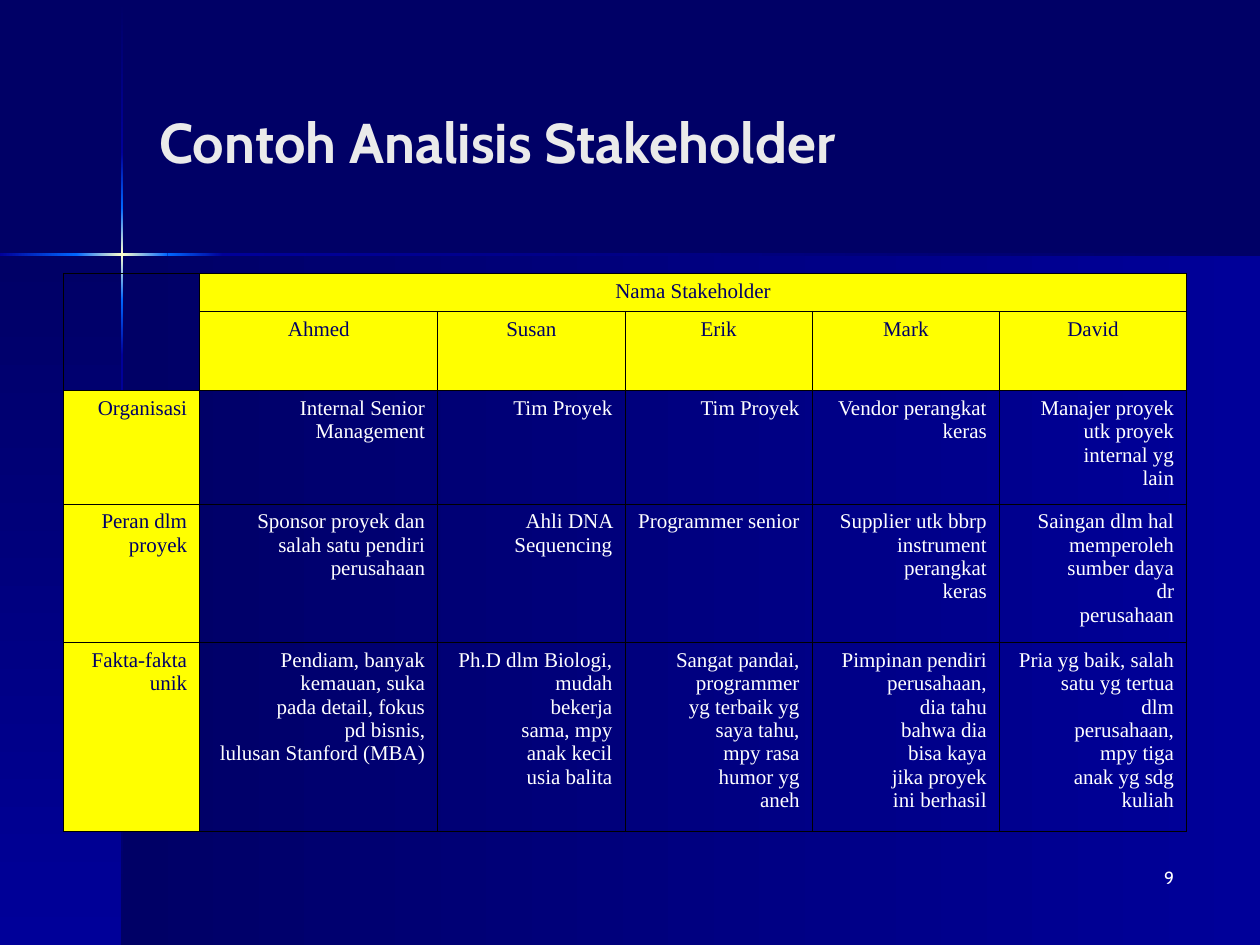
from itertools import pairwise

from lxml.etree import SubElement
from pptx import Presentation
from pptx.dml.color import RGBColor as Color
from pptx.enum.shapes import MSO_SHAPE as Shape
from pptx.enum.text import MSO_ANCHOR as Anchor, PP_ALIGN as Align
from pptx.oxml.ns import qn
from pptx.util import Pt

THEME = {
    "night": "000066", "royal": "000099", "azure": "0066FF", "spark": "FFFFCC",
    "yellow": "FFFF00", "white": "FFFFFF", "title": "EAEAEA", "border": "000000",
    "title_font": "Cabin", "table_font": "Times New Roman",
    "title_size": 32, "table_size": 12, "number_size": 10,
}

TITLE = "Contoh Analisis Stakeholder"
PAGE_NUMBER = "9"
GROUP_HEADING = "Nama Stakeholder"
NAMES = ["Ahmed", "Susan", "Erik", "Mark", "David"]
ROWS = [
    ["Organisasi", "Internal Senior Management", "Tim Proyek", "Tim Proyek",
     "Vendor perangkat keras", "Manajer proyek utk proyek internal yg lain"],
    ["Peran dlm proyek", "Sponsor proyek dan salah satu pendiri perusahaan",
     "Ahli DNA Sequencing", "Programmer senior",
     "Supplier utk bbrp instrument perangkat keras",
     "Saingan dlm hal memperoleh sumber daya dr perusahaan"],
    ["Fakta-fakta unik",
     "Pendiam, banyak kemauan, suka pada detail, fokus pd bisnis,\nlulusan Stanford (MBA)",
     "Ph.D dlm Biologi, mudah bekerja sama, mpy anak kecil usia balita",
     "Sangat pandai, programmer yg terbaik yg saya tahu, mpy rasa humor yg aneh",
     "Pimpinan pendiri perusahaan, dia tahu bahwa dia bisa kaya jika proyek ini berhasil",
     "Pria yg baik, salah satu yg tertua dlm perusahaan, mpy tiga anak yg sdg kuliah"],
]
COLUMN_WIDTHS = [78, 136] + [107] * 4
ROW_HEIGHTS = [20.6, 45.3, 60.8, 73.9, 100.6]
TABLE_LEFT, TABLE_TOP = 36.2, 156.2

WIDTH, HEIGHT = 720, 540
PANEL_LEFT, PANEL_TOP = 69.8, 145.4
BEAM = 1.4
BEAM_COLORS = [
    ("night", "royal"), ("royal", "azure"), ("azure", "spark", "azure"),
    ("azure", "royal"), ("royal", "night"),
]
VERTICAL_STOPS = [0.7, 87.1, 118.8, 171.4, 203, HEIGHT]
HORIZONTAL_STOPS = [0, 43.5, 95.8, 127.4, WIDTH]


def add_gradient(page, left, top, width, height, colors, downward):
    shape = page.shapes.add_shape(Shape.RECTANGLE, Pt(left), Pt(top), Pt(width), Pt(height))
    shape.shadow.inherit = False
    shape.line.fill.background()
    shape.fill.gradient()
    shape.fill.gradient_angle = 270 if downward else 0
    stops = shape._element.spPr.find(qn("a:gradFill")).find(qn("a:gsLst"))
    stops.clear()
    for index, name in enumerate(colors):
        position = round(100000 * index / (len(colors) - 1))
        stop = SubElement(stops, qn("a:gs"), pos=str(position))
        SubElement(stop, qn("a:srgbClr"), val=THEME[name])


def write(frame, text, *, font, size, color, align=Align.LEFT, bold=False, hanging=0):
    frame.word_wrap = True
    for index, line in enumerate(text.split("\n")):
        para = frame.add_paragraph() if index else frame.paragraphs[0]
        para.alignment = align
        if hanging:
            properties = para._p.get_or_add_pPr()
            properties.set("marL", str(Pt(hanging)))
            properties.set("indent", str(-Pt(hanging)))
        span = para.add_run()
        span.text = line
        span.font.name = font
        span.font.size = Pt(size)
        span.font.bold = bold
        span.font.color.rgb = Color.from_string(color)


def add_text(page, text, left, top, width, height, anchor, **style):
    box = page.shapes.add_textbox(Pt(left), Pt(top), Pt(width), Pt(height))
    box.text_frame.vertical_anchor = anchor
    write(box.text_frame, text, **style)


def add_borders(cell):
    properties = cell._tc.get_or_add_tcPr()
    for index, side in enumerate(("lnL", "lnR", "lnT", "lnB")):
        line = SubElement(properties, qn("a:" + side), w=str(Pt(0.45)))
        fill = SubElement(line, qn("a:solidFill"))
        SubElement(fill, qn("a:srgbClr"), val=THEME["border"])
        properties.insert(index, line)


def add_backdrop(page):
    page.background.fill.solid()
    page.background.fill.fore_color.rgb = Color.from_string(THEME["night"])
    panel = ("night", "royal")
    panel_height = HEIGHT - PANEL_TOP
    add_gradient(page, PANEL_LEFT, PANEL_TOP, WIDTH - PANEL_LEFT, panel_height, panel, False)
    add_gradient(page, 0, PANEL_TOP, PANEL_LEFT, panel_height, panel, True)
    for (start, end), colors in zip(pairwise(VERTICAL_STOPS), BEAM_COLORS):
        add_gradient(page, PANEL_LEFT - BEAM / 2, start, BEAM, end - start, colors, True)
    for (start, end), colors in zip(pairwise(HORIZONTAL_STOPS), BEAM_COLORS[1:]):
        add_gradient(page, start, PANEL_TOP - BEAM / 2, end - start, BEAM, colors, False)


def add_stakeholders(page):
    content = [["", GROUP_HEADING, "", "", "", ""], ["", *NAMES], *ROWS]
    table = page.shapes.add_table(
        len(content), len(COLUMN_WIDTHS), Pt(TABLE_LEFT), Pt(TABLE_TOP),
        Pt(sum(COLUMN_WIDTHS)), Pt(sum(ROW_HEIGHTS))).table
    table.first_row = table.horz_banding = False
    for column, width in zip(table.columns, COLUMN_WIDTHS):
        column.width = Pt(width)
    for row, height in zip(table.rows, ROW_HEIGHTS):
        row.height = Pt(height)
    for r, texts in enumerate(content):
        for c, text in enumerate(texts):
            cell = table.cell(r, c)
            heading = r < 2 or c == 0
            if heading and (r, c) not in ((0, 0), (1, 0)):
                cell.fill.solid()
                cell.fill.fore_color.rgb = Color.from_string(THEME["yellow"])
            else:
                cell.fill.background()
            add_borders(cell)
            if text:
                write(cell.text_frame, text, font=THEME["table_font"],
                      size=THEME["table_size"], hanging=27,
                      color=THEME["night" if heading else "white"],
                      align=Align.CENTER if r < 2 else Align.RIGHT)
            else:
                ending = cell.text_frame.paragraphs[0]._p.get_or_add_endParaRPr()
                ending.set("sz", str(THEME["table_size"] * 100))
    table.cell(0, 0).merge(table.cell(1, 0))
    table.cell(0, 1).merge(table.cell(0, len(NAMES)))


def main():
    deck = Presentation()
    deck.slide_width, deck.slide_height = Pt(WIDTH), Pt(HEIGHT)
    page = deck.slides.add_slide(deck.slide_layouts[6])
    add_backdrop(page)
    add_text(page, TITLE, 84, 24, 594, 113, Anchor.MIDDLE, font=THEME["title_font"],
             size=THEME["title_size"], color=THEME["title"], bold=True)
    add_stakeholders(page)
    add_text(page, PAGE_NUMBER, 528, 492, 150, 36, Anchor.TOP, font=THEME["title_font"],
             size=THEME["number_size"], color=THEME["white"], align=Align.RIGHT)
    deck.save("out.pptx")


if __name__ == "__main__":
    main()
